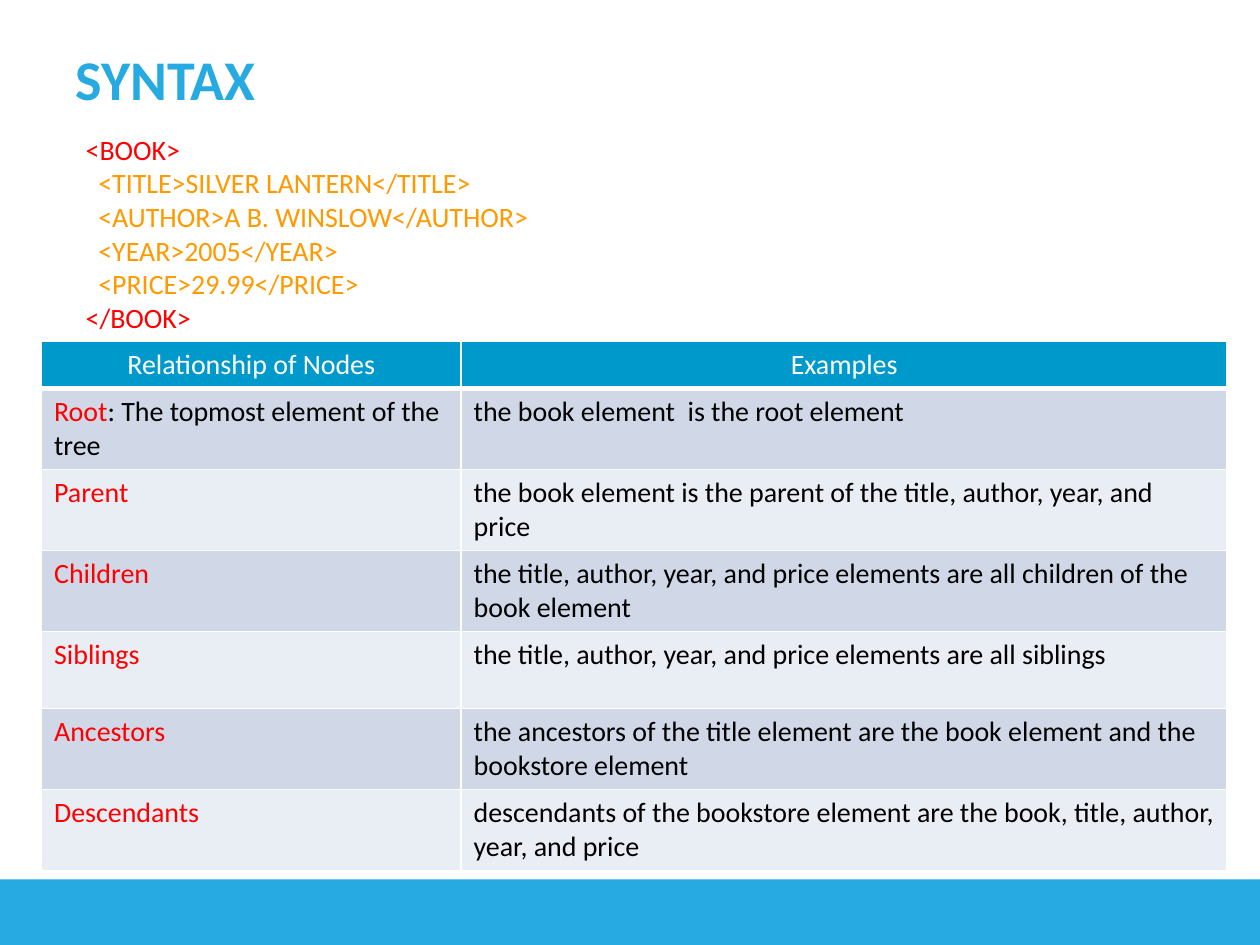
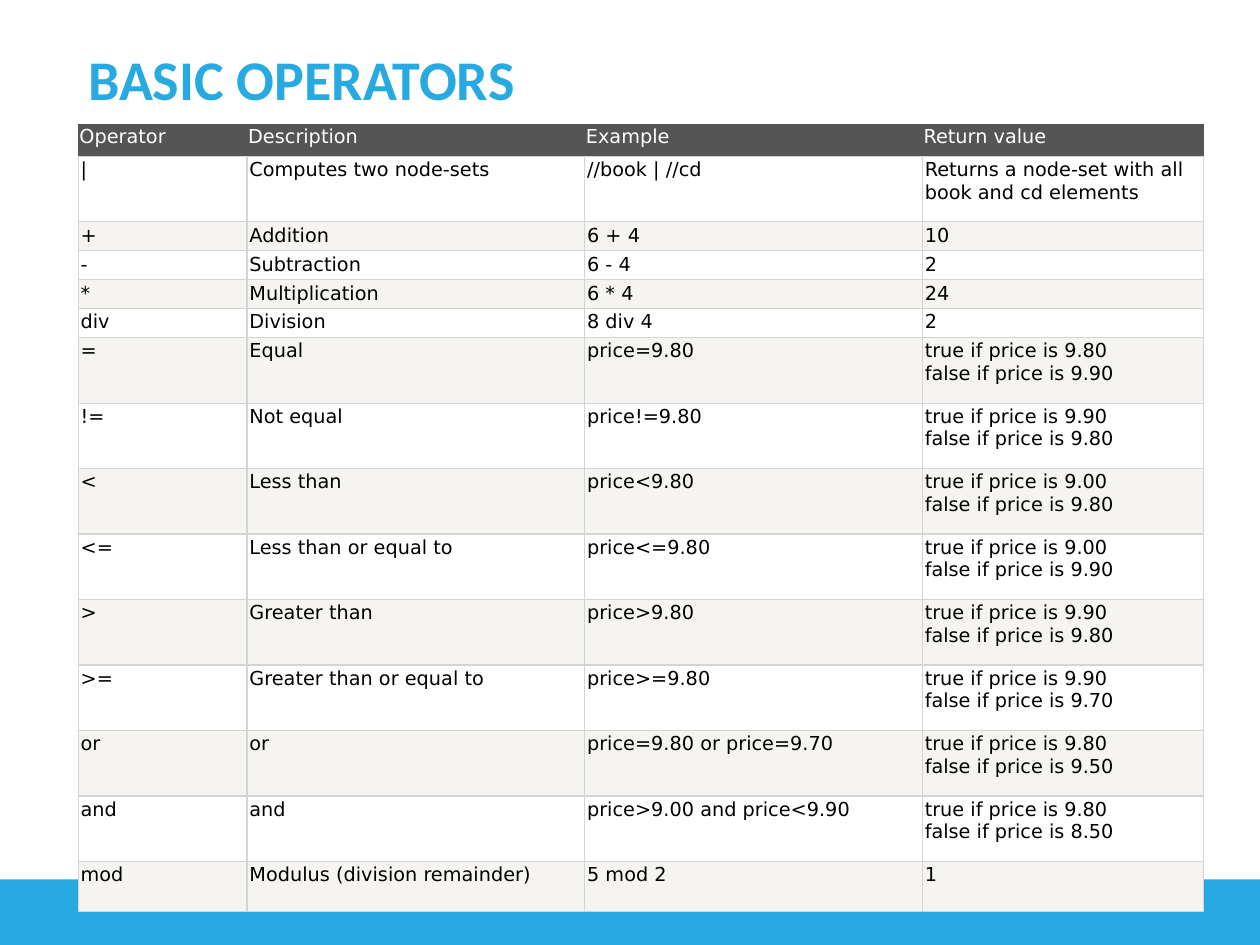
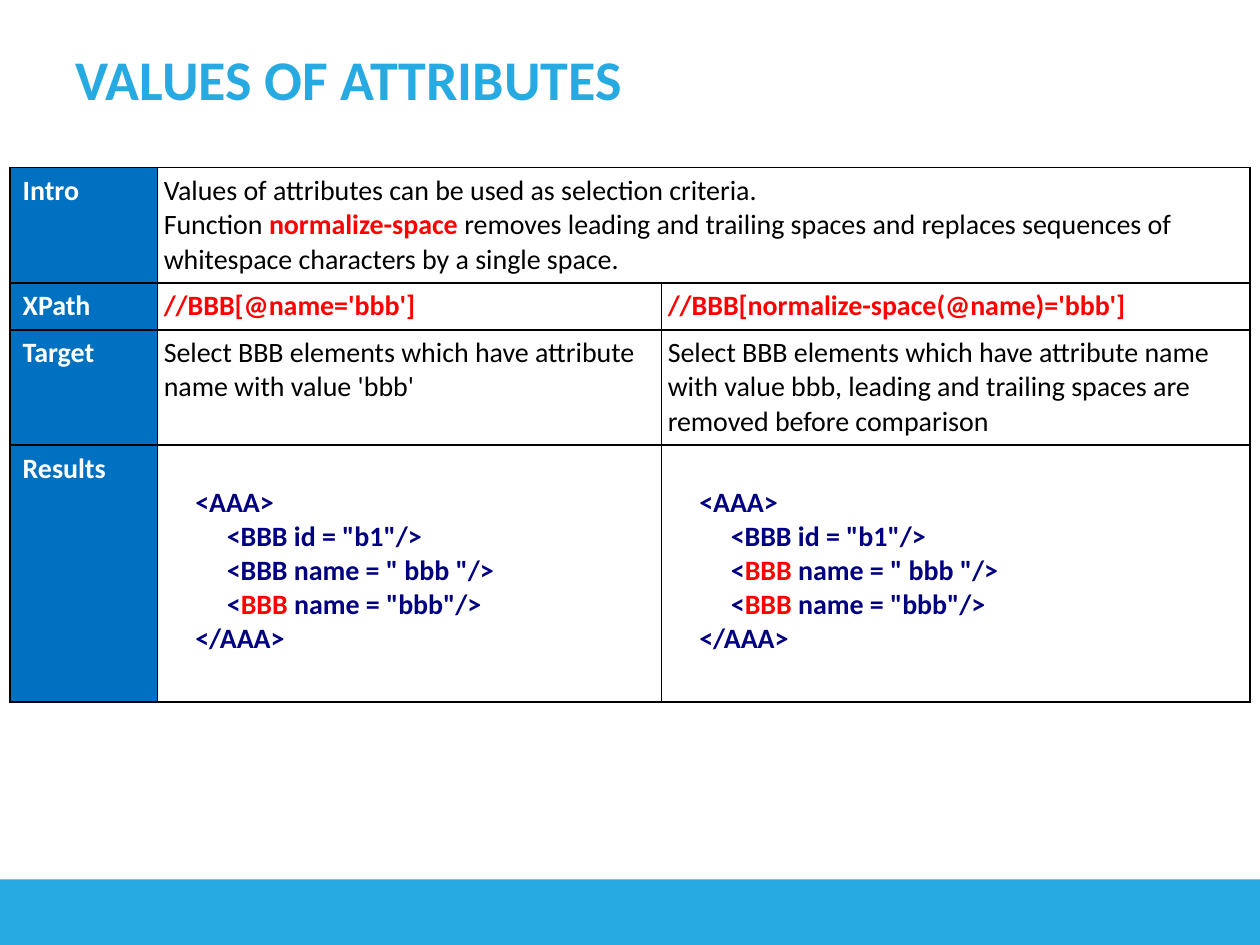
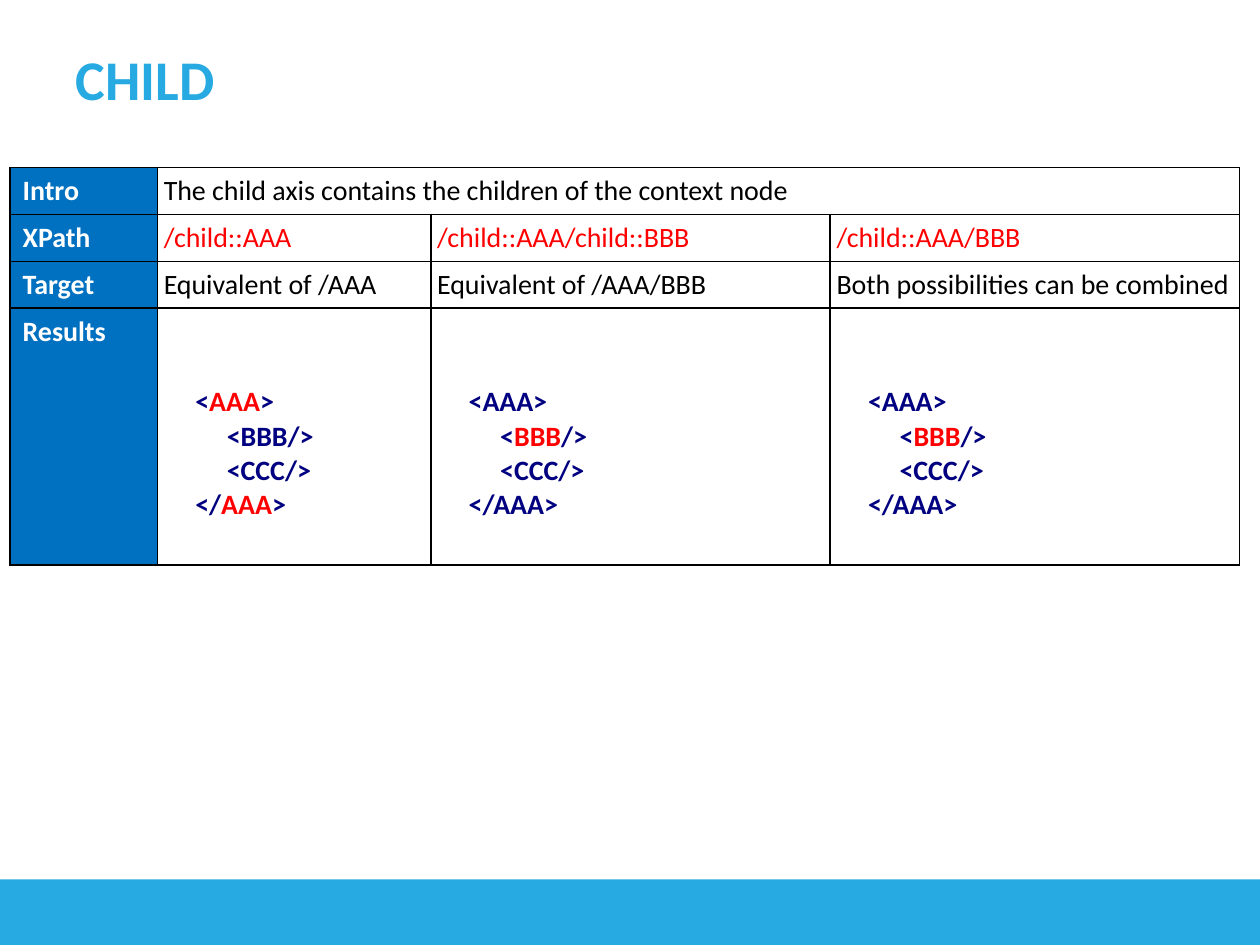
from lxml import etree
from pptx import Presentation
from pptx.dml.color import RGBColor
from pptx.enum import shapes, text
from pptx.oxml.ns import qn
from pptx.util import Inches, Pt

COLORS = {
    "brand": "27AAE1", "white": "FFFFFF", "black": "000000", "red": "FF0000",
    "orange": "FF9900", "navy": "000080", "label": "0070C0",
    "node_head": "0099CC", "node_odd": "D0D8E8", "node_even": "E9EDF4",
    "op_head": "555555", "op_even": "F6F4F0", "op_rule": "D4D4D4",
}
FONT, OP_FONT = "Calibri", "DejaVu Sans"
TITLE_BOX = (0.5, 0.3, 6.85, 0.7)
BAND_BOX = (-0.03, 6.98, 10.09, 0.65)

BOOK_CODE = """~<BOOK>~
  <TITLE>SILVER LANTERN</TITLE>
  <AUTHOR>A B. WINSLOW</AUTHOR>
  <YEAR>2005</YEAR>
  <PRICE>29.99</PRICE>
~</BOOK>~"""

NODES = [
    ("Relationship of Nodes", "Examples"),
    ("~Root~: The topmost element of the tree", "the book element  is the root element"),
    ("~Parent~", "the book element is the parent of the title, author, year, and price"),
    ("~Children~", "the title, author, year, and price elements are all children of the book element"),
    ("~Siblings~", "the title, author, year, and price elements are all siblings"),
    ("~Ancestors~", "the ancestors of the title element are the book element and the bookstore element"),
    ("~Descendants~", "descendants of the bookstore element are the book, title, author, year, and price"),
]
NODE_ROWS = [0.33, 0.47, 0.33, 0.38, 0.61, 0.61, 0.61]

OPERATORS = [
    ("Operator", "Description", "Example", "Return value"),
    ("|", "Computes two node-sets", "//book | //cd", "Returns a node-set with all book and cd elements"),
    ("+", "Addition", "6 + 4", "10"),
    ("-", "Subtraction", "6 - 4", "2"),
    ("*", "Multiplication", "6 * 4", "24"),
    ("div", "Division", "8 div 4", "2"),
    ("=", "Equal", "price=9.80", "true if price is 9.80\nfalse if price is 9.90"),
    ("!=", "Not equal", "price!=9.80", "true if price is 9.90\nfalse if price is 9.80"),
    ("<", "Less than", "price<9.80", "true if price is 9.00\nfalse if price is 9.80"),
    ("<=", "Less than or equal to", "price<=9.80", "true if price is 9.00\nfalse if price is 9.90"),
    (">", "Greater than", "price>9.80", "true if price is 9.90\nfalse if price is 9.80"),
    (">=", "Greater than or equal to", "price>=9.80", "true if price is 9.90\nfalse if price is 9.70"),
    ("or", "or", "price=9.80 or price=9.70", "true if price is 9.80\nfalse if price is 9.50"),
    ("and", "and", "price>9.00 and price<9.90", "true if price is 9.80\nfalse if price is 8.50"),
    ("mod", "Modulus (division remainder)", "5 mod 2", "1"),
]
OPERATOR_ROWS = [0.25, 0.52] + [0.23] * 4 + [0.52] * 8 + [0.4]

CHILD_BBB = """     <AAA>
          <~BBB~/>
          <CCC/>
     </AAA>"""

LESSONS = [
    {
        "title": "VALUES OF ATTRIBUTES",
        "at": (0.08, 1.33, 9.83, 4.22), "cols": [1.17, 4, 4.67],
        "anchor": text.MSO_ANCHOR.TOP, "bold_paths": True,
        "Intro": [(
            "Values of attributes can be used as selection criteria.",
            "Function ~normalize-space~ removes leading and trailing spaces and "
            "replaces sequences of whitespace characters by a single space.",
        )],
        "XPath": ["//BBB[@name='bbb']", "//BBB[normalize-space(@name)='bbb']"],
        "Target": [
            "Select BBB elements which have attribute name with value 'bbb'",
            "Select BBB elements which have attribute name with value bbb, "
            "leading and trailing spaces are removed before comparison",
        ],
        "Results": [
            """     <AAA>
          <BBB id = "b1"/>
          <BBB name = " bbb "/>
          <~BBB~ name = "bbb"/>
     </AAA>""",
            """     <AAA>
          <BBB id = "b1"/>
          <~BBB~ name = " bbb "/>
          <~BBB~ name = "bbb"/>
     </AAA>""",
        ],
    },
    {
        "title": "CHILD",
        "at": (0.08, 1.33, 9.75, 3.15), "cols": [1.17, 2.17, 3.17, 3.25],
        "anchor": text.MSO_ANCHOR.MIDDLE, "bold_paths": False,
        "Intro": ["The child axis contains the children of the context node"],
        "XPath": ["/child::AAA", "/child::AAA/child::BBB", "/child::AAA/BBB"],
        "Target": ["Equivalent of /AAA", "Equivalent of /AAA/BBB", "Both possibilities can be combined"],
        "Results": [
            """     <~AAA~>
          <BBB/>
          <CCC/>
     </~AAA~>""",
            CHILD_BBB,
            CHILD_BBB,
        ],
    },
]
LESSON_ROWS = {"Intro": 0, "XPath": 0, "Target": 0, "Results": 2.04}


def rgb(name):
    return RGBColor.from_string(COLORS[name])


def place(sp, box):
    sp.left, sp.top, sp.width, sp.height = map(Inches, box)


def write(tf, content, size=16, font=FONT, color="black", bold=False,
          accent="red", accent_bold=None, align=None):
    paragraphs = (content,) if isinstance(content, str) else content
    for i, words in enumerate(paragraphs):
        p = tf.add_paragraph() if i else tf.paragraphs[0]
        p.alignment = align
        for j, part in enumerate(words.split("~")):
            marked = j % 2 == 1
            for k, line in enumerate(part.split("\n")):
                if k:
                    p.add_line_break()
                    etree.SubElement(p._p[-1], qn("a:rPr"), sz=str(size * 100))
                if line:
                    r = p.add_run()
                    r.text = line
                    r.font.size, r.font.name = Pt(size), font
                    r.font.bold = accent_bold if marked and accent_bold is not None else bold
                    r.font.color.rgb = rgb(accent if marked else color)


def add_titled_slide(prs, layout, title, inset=0.1):
    s = prs.slides.add_slide(prs.slide_layouts[layout])
    place(s.shapes.title, TITLE_BOX)
    tf = s.shapes.title.text_frame
    tf.margin_left = Inches(inset)
    tf.margin_bottom = Inches(0.11)
    tf.vertical_anchor = text.MSO_ANCHOR.MIDDLE
    write(tf, title, size=32, color="brand", bold=True, align=text.PP_ALIGN.LEFT)
    return s


def add_master_band(prs, s):
    band = s.shapes.add_shape(shapes.MSO_SHAPE.RECTANGLE, *map(Inches, BAND_BOX))
    band.shadow.inherit = False
    band.fill.solid()
    band.fill.fore_color.rgb = rgb("brand")
    band.line.fill.background()
    band.element.nvSpPr.cNvPr.set("id", "20")
    prs.slide_master.shapes.element.insert(2, band.element)


def add_grid(s, at, cols, rows):
    frame = s.shapes.add_table(len(rows), len(cols), *map(Inches, at))
    tbl = frame.table
    tbl.first_row = tbl.horz_banding = False
    for column, width in zip(tbl.columns, cols):
        column.width = Inches(width)
    for row, height in zip(tbl.rows, rows):
        row.height = Inches(height)
    frame.height = Inches(at[3])
    return tbl


def style_cell(cell, fill, border, width, bottom=None, margins=None,
               anchor=text.MSO_ANCHOR.TOP):
    if fill:
        cell.fill.solid()
        cell.fill.fore_color.rgb = rgb(fill)
    else:
        cell.fill.background()
    if margins:
        cell.margin_left, cell.margin_top, cell.margin_right, cell.margin_bottom = map(Inches, margins)
    cell.vertical_anchor = anchor
    tcPr = cell._tc.get_or_add_tcPr()
    for i, side in enumerate("LRTB"):
        color, points = bottom if bottom and side == "B" else (border, width)
        ln = etree.Element(qn("a:ln" + side), w=str(Pt(points)))
        solid = etree.SubElement(ln, qn("a:solidFill"))
        etree.SubElement(solid, qn("a:srgbClr"), val=COLORS[color])
        tcPr.insert(i, ln)


def build_syntax(prs):
    s = add_titled_slide(prs, 1, "SYNTAX")
    add_master_band(prs, s)
    body = s.placeholders[1]
    place(body, (0.58, 1, 6.1, 0.48))
    tf = body.text_frame
    tf.auto_size = text.MSO_AUTO_SIZE.NONE
    p = tf.paragraphs[0]
    pPr = p._p.get_or_add_pPr()
    pPr.set("marL", "0")
    pPr.set("indent", "0")
    etree.SubElement(pPr, qn("a:buNone"))
    p.space_before = Pt(0)
    write(tf, BOOK_CODE, color="orange")

    tbl = add_grid(s, (0.33, 2.71, 9.42, 4.14), [3.33, 6.08], NODE_ROWS)
    for i, row in enumerate(NODES):
        head = i == 0
        fill = "node_head" if head else "node_odd" if i % 2 else "node_even"
        for j, words in enumerate(row):
            cell = tbl.cell(i, j)
            style_cell(cell, fill, "white", 1, bottom=("white", 3) if head else None)
            write(cell.text_frame, words, color="white" if head else "black",
                  align=text.PP_ALIGN.CENTER if head else None)


def build_operators(prs):
    s = add_titled_slide(prs, 5, "BASIC OPERATORS", inset=0.2)
    tbl = add_grid(s, (0.62, 0.99, 8.92, 6.24), [1.34, 2.68, 2.68, 2.23], OPERATOR_ROWS)
    for i, row in enumerate(OPERATORS):
        head = i == 0
        fill = "op_head" if head else "white" if i % 2 else "op_even"
        for j, words in enumerate(row):
            cell = tbl.cell(i, j)
            style_cell(cell, fill, "op_head" if head else "op_rule", 0.75,
                       bottom=("op_rule", 0.75), margins=[0.01 if head else 0.02] * 4)
            write(cell.text_frame, words, size=11, font=OP_FONT,
                  color="white" if head else "black")


def build_lesson(prs, lesson):
    s = add_titled_slide(prs, 5, lesson["title"])
    tbl = add_grid(s, lesson["at"], lesson["cols"], LESSON_ROWS.values())
    formats = {
        "Intro": {"accent_bold": True},
        "XPath": {"color": "red", "bold": lesson["bold_paths"]},
        "Target": {},
        "Results": {"color": "navy", "bold": True},
    }
    last = len(lesson["cols"]) - 1
    for i, label in enumerate(LESSON_ROWS):
        top = 0.32 if label == "Results" else 0.05
        for j in range(last + 1):
            if j:
                style_cell(tbl.cell(i, j), None, "black", 1,
                           margins=(0.05, top, 0.05, 0.05), anchor=lesson["anchor"])
            else:
                style_cell(tbl.cell(i, j), "label", "black", 1, margins=(0.1, 0.05, 0.05, 0.05))
        write(tbl.cell(i, 0).text_frame, label, color="white", bold=True)
        for j, words in enumerate(lesson[label], 1):
            write(tbl.cell(i, j).text_frame, words, **formats[label])
    tbl.cell(0, 1).merge(tbl.cell(0, last))


def main():
    prs = Presentation()
    prs.slide_width, prs.slide_height = Inches(10), Inches(7.5)
    build_syntax(prs)
    build_operators(prs)
    for lesson in LESSONS:
        build_lesson(prs, lesson)
    prs.save("out.pptx")


if __name__ == "__main__":
    main()
